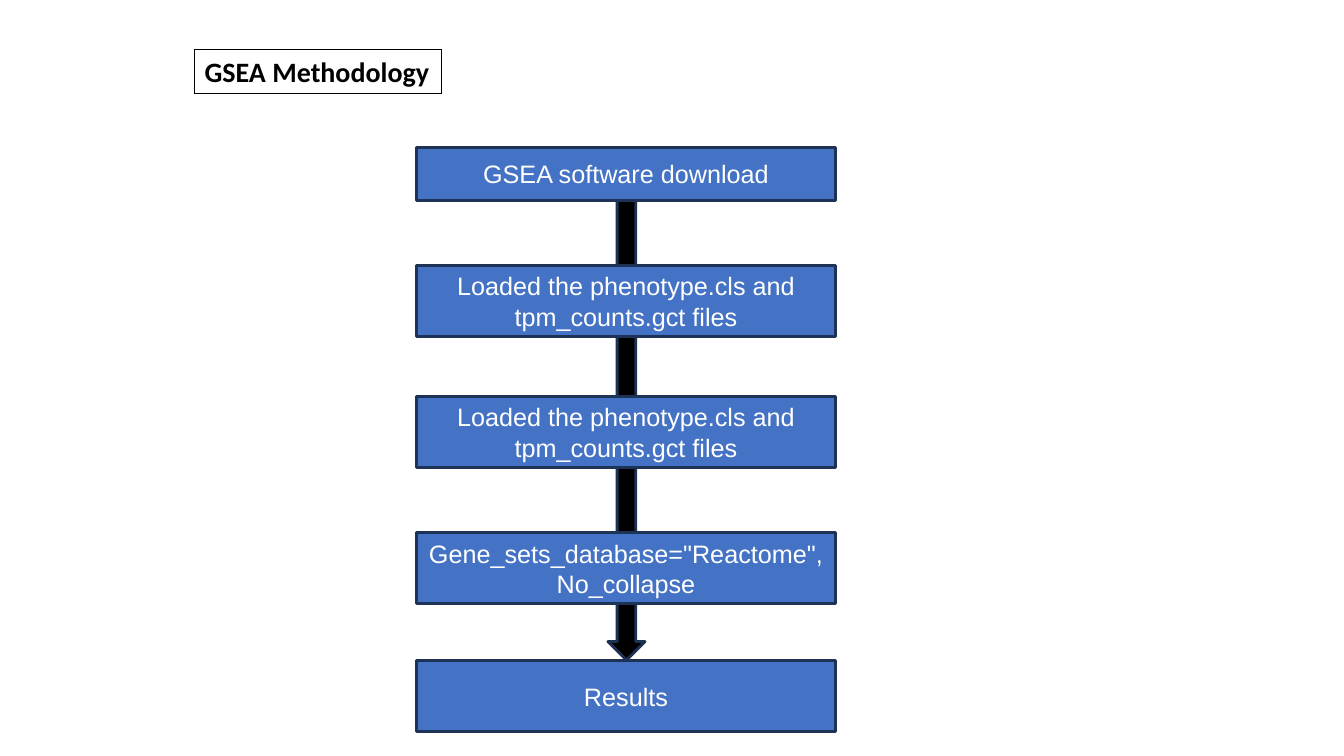
"""Build the GSEA methodology flow chart slide."""
from dataclasses import dataclass

from pptx import Presentation
from pptx.dml.color import RGBColor
from pptx.enum import shapes, text
from pptx.util import Pt

LEFT, WIDTH = 297.4, 299.5
NAVY, BLUE, BLACK, WHITE = "1E3256", "4472C4", "000000", "FFFFFF"


@dataclass
class Step:
    top: float
    high: float
    words: str


STEPS = [
    Step(105.1, 38.2, "GSEA software download"),
    Step(189.4, 51.1, "Loaded the phenotype.cls and tpm_counts.gct files"),
    Step(283, 51.1, "Loaded the phenotype.cls and tpm_counts.gct files"),
    Step(380.2, 51.1, 'Gene_sets_database="Reactome",\nNo_collapse'),
    Step(471.6, 51.1, "Results"),
]
STEP_FONT = {"name": "Arial", "size": Pt(18)}
HEAD_FONT = {"name": "Calibri", "size": Pt(20), "bold": True}


def color(code: str) -> RGBColor:
    return RGBColor.from_string(code)


def stroke(shape, code: str, size: float) -> None:
    shape.line.color.rgb = color(code)
    shape.line.width = Pt(size)


def block(slide, kind, area: tuple, fill: str):
    shape = slide.shapes.add_shape(kind, *map(Pt, area))
    shape.shadow.inherit = False
    shape.fill.solid()
    shape.fill.fore_color.rgb = color(fill)
    stroke(shape, NAVY, 2)
    return shape


def write(frame, words: str, look: dict, code: str, align) -> None:
    frame.text = words
    for para in frame.paragraphs:
        para.alignment = align
        for run in para.runs:
            for key, value in look.items():
                setattr(run.font, key, value)
            run.font.color.rgb = color(code)


def draw(slide, step: Step) -> None:
    area = (LEFT, step.top, WIDTH, step.high)
    frame = block(slide, shapes.MSO_SHAPE.RECTANGLE, area, BLUE).text_frame
    frame.word_wrap = True
    frame.vertical_anchor = text.MSO_ANCHOR.MIDDLE
    write(frame, step.words, STEP_FONT, WHITE, text.PP_ALIGN.CENTER)


def title(slide) -> None:
    box = slide.shapes.add_textbox(*map(Pt, (139, 35.3, 176.4, 31.7)))
    stroke(box, BLACK, 0)
    frame = box.text_frame
    frame.word_wrap = False
    frame.auto_size = text.MSO_AUTO_SIZE.SHAPE_TO_FIT_TEXT
    write(frame, "GSEA Methodology", HEAD_FONT, BLACK, text.PP_ALIGN.LEFT)


def main() -> None:
    deck = Presentation()
    deck.slide_width, deck.slide_height = Pt(960), Pt(540)
    slide = deck.slides.add_slide(deck.slide_layouts[6])
    block(slide, shapes.MSO_SHAPE.DOWN_ARROW, (434.2, 143.3, 26.6, 328.3), BLACK)
    for step in STEPS:
        draw(slide, step)
    title(slide)
    deck.save("out.pptx")


if __name__ == "__main__":
    main()
